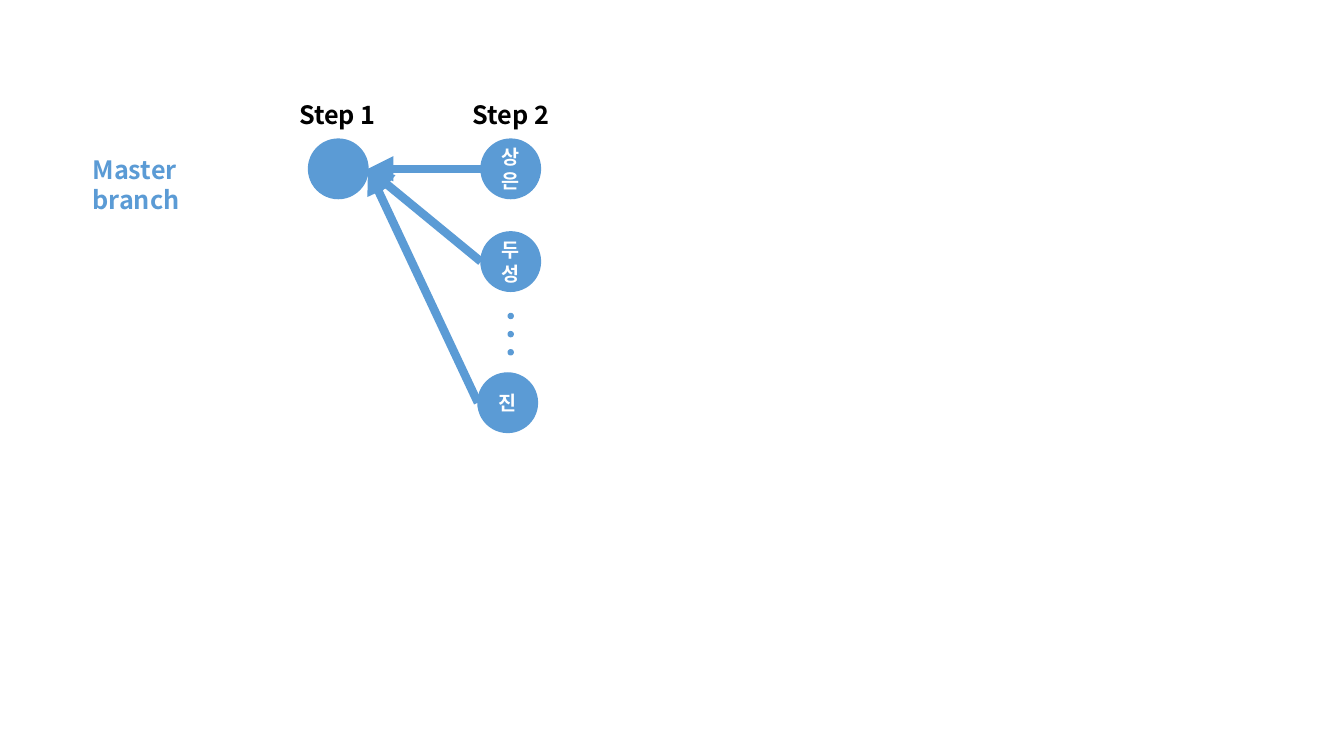
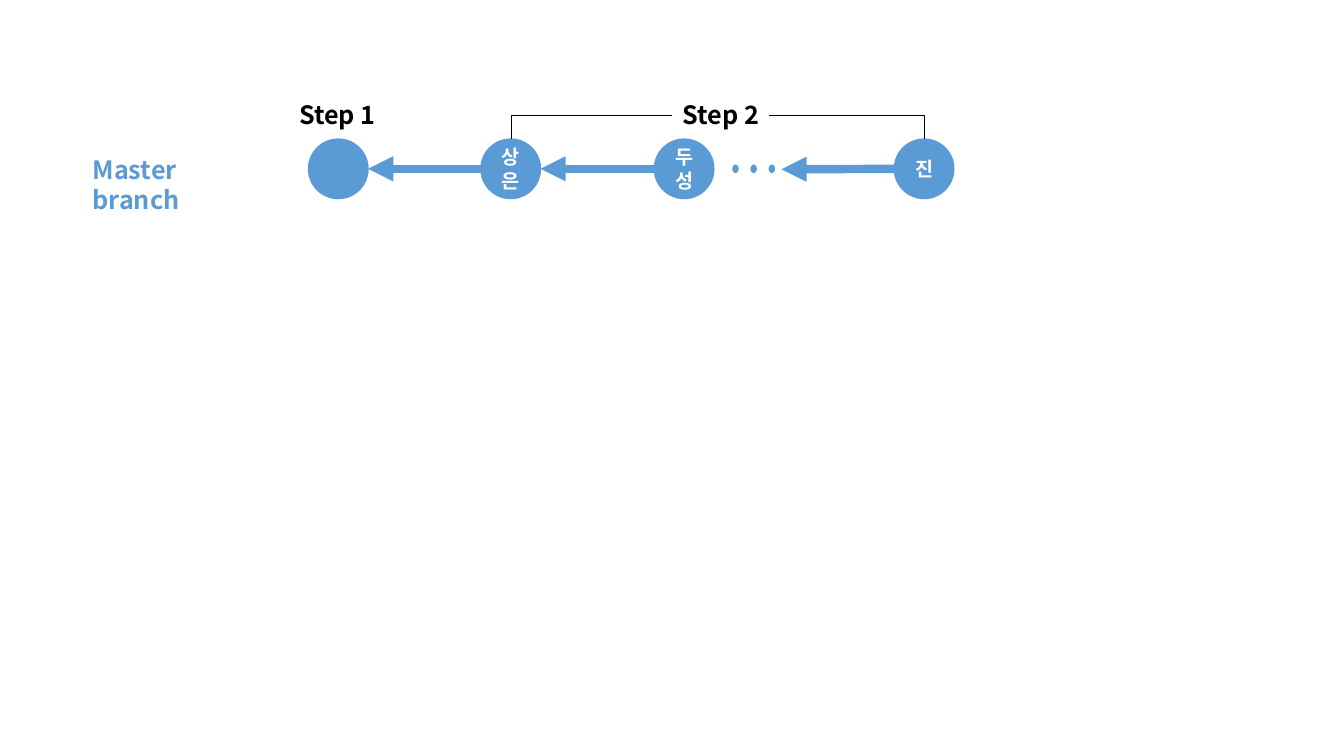
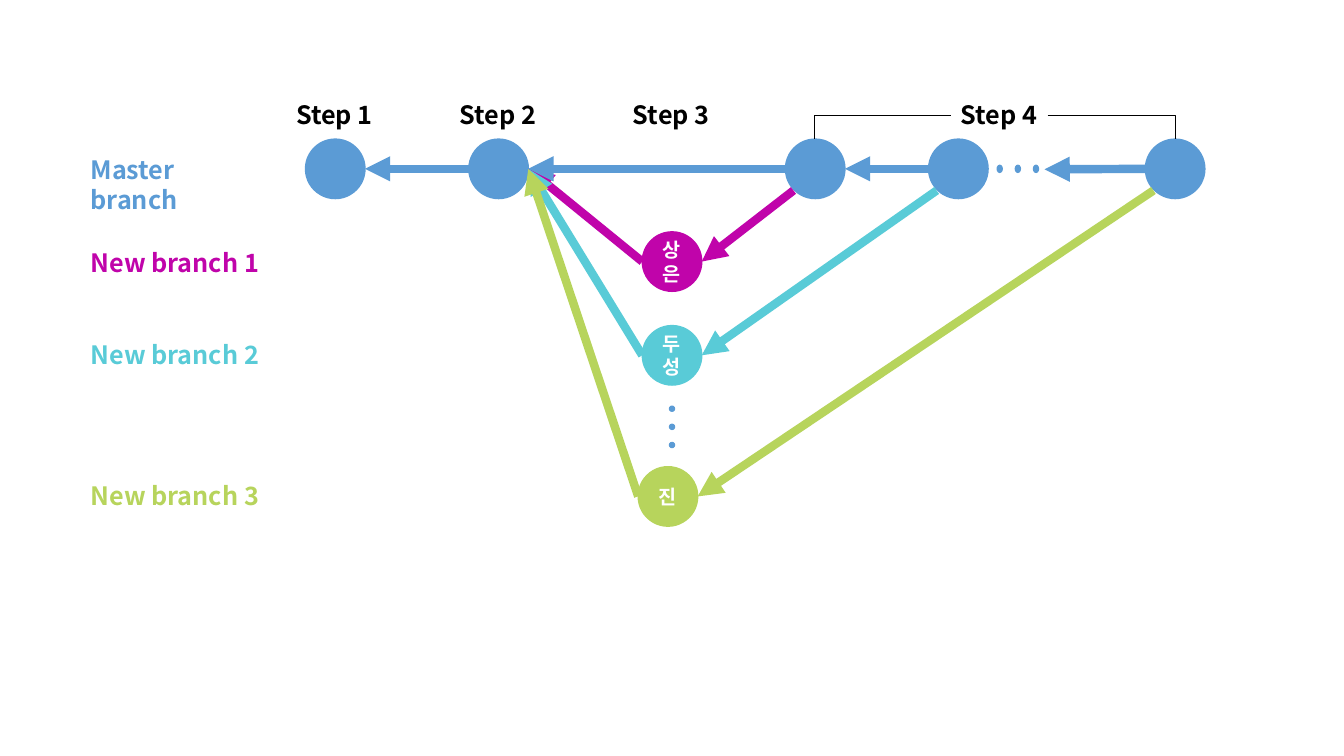
from dataclasses import dataclass

from lxml.etree import SubElement
from pptx import Presentation
from pptx.dml.color import RGBColor
from pptx.enum.shapes import MSO_CONNECTOR, MSO_SHAPE
from pptx.enum.text import MSO_ANCHOR, MSO_AUTO_SIZE, PP_ALIGN
from pptx.oxml.ns import qn
from pptx.util import Inches, Pt


@dataclass(frozen=True)
class Theme:
    """Colours, font and type sizes of the deck."""
    blue: str = "5B9BD5"
    magenta: str = "C004AA"
    teal: str = "59CBD7"
    green: str = "B7D45C"
    black: str = "000000"
    white: str = "FFFFFF"
    font: str = "Noto Sans CJK KR"
    label_size: int = 18
    node_size: int = 14
    arrow_width: float = 6
    bracket_width: float = 0.5


theme = Theme()

# Shared grid, in inches
NODE = 0.59
CORNER_X, CORNER_Y = 0.08, 0.51
MAIN_TOP, MAIN_Y = 1.38, 1.68
STEP_TOP, STEP_WIDTH, STEP_Y = 0.94, 0.96, 1.14
LABEL_HEIGHT, BRANCH_WIDTH = 0.4, 1.95
DOT, DOT_GAP = 0.05, 0.18


def write_text(frame, text, size, colour):
    """Write bold text into a frame, with a line break at each newline."""
    para = frame.paragraphs[0]
    for number, line in enumerate(text.split("\n")):
        if number:
            para.add_line_break()
        span = para.add_run()
        span.text = line
        span.font.size = Pt(size)
        span.font.bold = True
        span.font.name = theme.font
        span.font.color.rgb = RGBColor.from_string(colour)
        SubElement(span.font._element, qn("a:ea"), typeface=theme.font)
    return para


def draw_line(page, kind, start, end, colour, width):
    """Draw a shadowless connector between two points in inches."""
    line = page.shapes.add_connector(kind, *map(Inches, (*start, *end)))
    line.line.color.rgb = RGBColor.from_string(colour)
    line.line.width = Pt(width)
    SubElement(line._element.spPr, qn("a:effectLst"))
    return line


# Nodes: left, top, colour, text. Arrows: source node, target node or open x.
# Steps: text, left. Branches: text, left, top, colour.
# Dots: first left, first top, width, height, step across, step down.
# Brackets: label left, outer left, outer right.
pages = [
    dict(
        branches=[("Master\nbranch", 0.82, 1.48, theme.blue)],
        steps=[("Step 1", 2.87), ("Step 2", 4.59)],
        nodes={
            "base": (3.06, MAIN_TOP, theme.blue, ""),
            "first": (4.77, MAIN_TOP, theme.blue, "상은"),
            "second": (4.77, 2.3, theme.blue, "두성"),
            "last": (4.74, 3.7, theme.blue, "진"),
        },
        arrows=[("first", "base"), ("second", "base"), ("last", "base")],
        dots=[(5.04, 3.11, DOT, DOT, 0, DOT_GAP)],
        brackets=[],
    ),
    dict(
        branches=[("Master\nbranch", 0.82, 1.48, theme.blue)],
        steps=[("Step 1", 2.87), ("Step 2", 6.67)],
        nodes={
            "base": (3.06, MAIN_TOP, theme.blue, ""),
            "first": (4.77, MAIN_TOP, theme.blue, "상은"),
            "second": (6.49, MAIN_TOP, theme.blue, "두성"),
            "last": (8.87, MAIN_TOP, theme.blue, "진"),
        },
        arrows=[("first", "base"), ("second", "first"), ("last", 7.75)],
        dots=[(7.27, 1.64, DOT, 0.07, DOT_GAP, 0)],
        brackets=[(6.67, 5.07, 9.17)],
    ),
    dict(
        branches=[
            ("Master\nbranch", 0.8, 1.48, theme.blue),
            ("New branch 1", 0.8, 2.4, theme.magenta),
            ("New branch 2", 0.8, 3.32, theme.teal),
            ("New branch 3", 0.8, 4.72, theme.green),
        ],
        steps=[("Step 1", 2.84), ("Step 2", 4.46), ("Step 3", 6.18), ("Step 4", 9.43)],
        nodes={
            "base": (3.03, MAIN_TOP, theme.blue, ""),
            "fork": (4.65, MAIN_TOP, theme.blue, ""),
            "first": (6.37, 2.3, theme.magenta, "상은"),
            "second": (6.37, 3.23, theme.teal, "두성"),
            "last": (6.33, 4.63, theme.green, "진"),
            "first merge": (7.79, MAIN_TOP, theme.blue, ""),
            "second merge": (9.21, MAIN_TOP, theme.blue, ""),
            "last merge": (11.36, MAIN_TOP, theme.blue, ""),
        },
        arrows=[
            ("first", "fork"), ("second", "fork"), ("last", "fork"),
            ("first merge", "fork"), ("first merge", "first"),
            ("second merge", "first merge"), ("second merge", "second"),
            ("last merge", 10.36), ("last merge", "last"), ("fork", "base"),
        ],
        dots=[(6.64, 4.03, DOT, DOT, 0, DOT_GAP), (9.89, 1.64, DOT, 0.07, DOT_GAP, 0)],
        brackets=[(9.43, 8.08, 11.66)],
    ),
]

deck = Presentation()
deck.slide_width, deck.slide_height = Inches(13.33), Inches(7.5)

for content in pages:
    page = deck.slides.add_slide(deck.slide_layouts[6])
    nodes = content["nodes"]

    labels = [(text, left, top, BRANCH_WIDTH, colour)
              for text, left, top, colour in content["branches"]]
    labels += [(text, left, STEP_TOP, STEP_WIDTH, theme.black)
               for text, left in content["steps"]]
    for text, left, top, width, colour in labels:
        box = page.shapes.add_textbox(*map(Inches, (left, top, width, LABEL_HEIGHT)))
        box.text_frame.word_wrap = "\n" in text
        box.text_frame.auto_size = MSO_AUTO_SIZE.SHAPE_TO_FIT_TEXT
        write_text(box.text_frame, text, theme.label_size, colour)

    circles = [(left, top, NODE, NODE, colour, text)
               for left, top, colour, text in nodes.values()]
    circles += [(left + across * i, top + down * i, width, height, theme.blue, "")
                for left, top, width, height, across, down in content["dots"]
                for i in range(3)]
    for left, top, width, height, colour, text in circles:
        circle = page.shapes.add_shape(
            MSO_SHAPE.OVAL, *map(Inches, (left, top, width, height)))
        circle.shadow.inherit = False
        circle.fill.solid()
        circle.fill.fore_color.rgb = RGBColor.from_string(colour)
        circle.line.color.rgb = RGBColor.from_string(colour)
        circle.line.width = Pt(1)
        if text:
            circle.text_frame.word_wrap = True
            circle.text_frame.vertical_anchor = MSO_ANCHOR.MIDDLE
            para = write_text(circle.text_frame, text, theme.node_size, theme.white)
            para.alignment = PP_ALIGN.CENTER

    # An arrow leaves by the left side, or by the lower corner when it goes down,
    # and takes the colour of its lower node.
    for source, target in content["arrows"]:
        left, top, colour, _ = nodes[source]
        start = (left, top + NODE / 2)
        if target in nodes:
            target_left, target_top, target_colour, _ = nodes[target]
            end = (target_left + NODE, target_top + NODE / 2)
            if target_top > top:
                start = (left + CORNER_X, top + CORNER_Y)
                colour = target_colour
        else:
            end = (target, MAIN_Y)
        arrow = draw_line(page, MSO_CONNECTOR.STRAIGHT, start, end, colour,
                          theme.arrow_width)
        SubElement(arrow.line._get_or_add_ln(), qn("a:tailEnd"), type="triangle")

    for label_left, outer_left, outer_right in content["brackets"]:
        for inner, outer in ((label_left, outer_left),
                             (label_left + STEP_WIDTH, outer_right)):
            bracket = draw_line(page, MSO_CONNECTOR.ELBOW, (inner, STEP_Y),
                                (outer, MAIN_TOP), theme.black, theme.bracket_width)
            bracket._element.spPr.find(qn("a:prstGeom")).set("prst", "bentConnector2")

deck.save("out.pptx")
